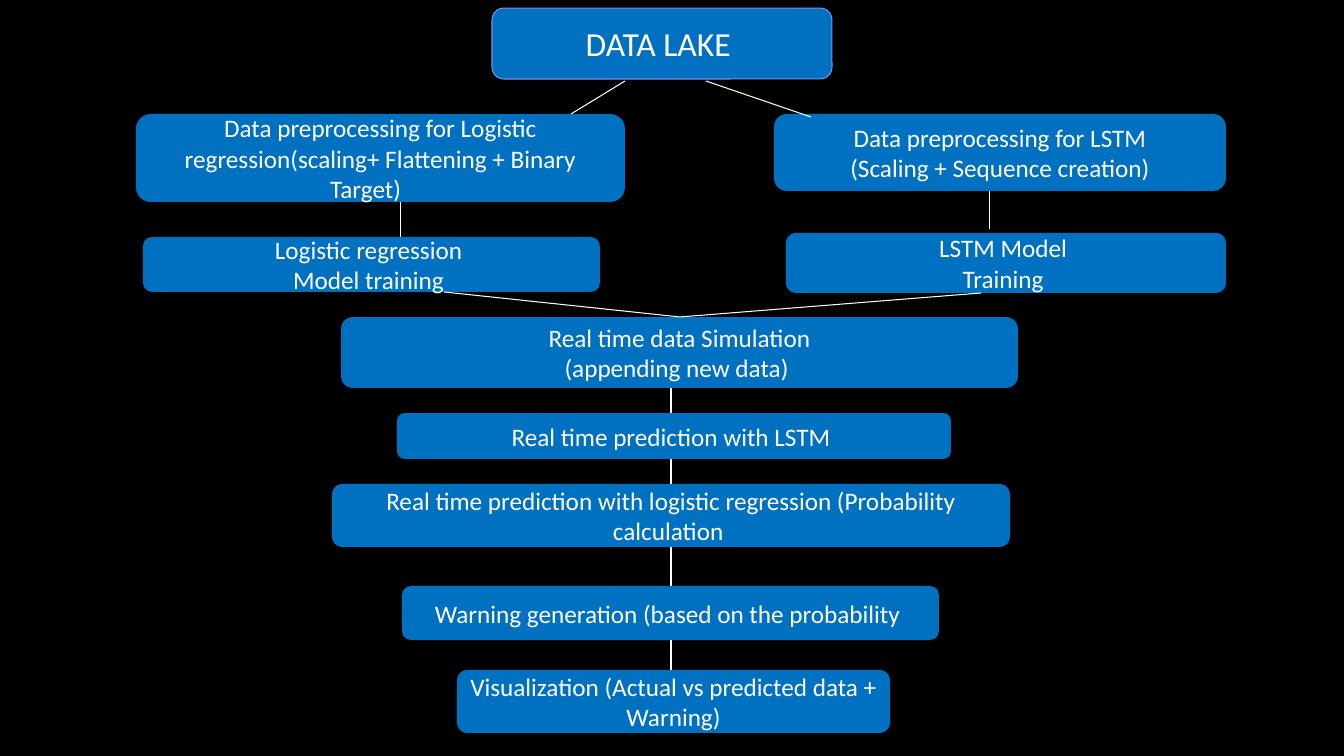
from itertools import pairwise

from lxml.etree import SubElement
from pptx import Presentation
from pptx.dml.color import RGBColor as RGB
from pptx.enum.shapes import MSO_CONNECTOR as CONN, MSO_SHAPE as SHAPE
from pptx.enum.text import MSO_ANCHOR as ANCHOR, PP_ALIGN as ALIGN
from pptx.oxml.ns import qn
from pptx.util import Pt

PX = 914400 / 100.8  # EMU per px
THEME = {
    "back": RGB(0x00, 0x00, 0x00),
    "node": RGB(0x00, 0x70, 0xC0),
    "border": RGB(0x79, 0x8F, 0xF2),
    "light": RGB(0xFF, 0xFF, 0xFF),
    "line": Pt(0.75),
    "title": {"name": "Calibri", "size": Pt(24)},
    "body": {"name": "Calibri", "size": Pt(18)},
}

# Boxes are left, top, width, height
SOURCE = (492, 8, 340, 71)
LOGISTIC = (136, 114, 489, 178)
LSTM = (774, 114, 452, 179)
PIPELINE = (332, 317, 686, 416)

# Offset from the region, size and wording of each step
STEPS = [
    (9, 0, 677, 71, ["Real time data Simulation", "(appending new data) "]),
    (65, 96, 554, 46, ["Real time prediction with LSTM "]),
    (0, 167, 678, 63,
     ["Real time prediction with logistic regression (Probability calculation "]),
    (70, 269, 537, 54, ["Warning generation (based on the probability "]),
    (125, 353, 433, 63, ["Visualization (Actual vs predicted data + Warning)"]),
]

# Lines between regions: x1, y1, x2, y2
JOINS = [
    (625, 81, 571, 114),
    (706, 81, 811, 117),
    (444, 292, 680, 317),
    (981, 293, 680, 317),
]


def emu(*lengths):
    return [round(v * PX) for v in lengths]


def add_node(s, box, lines, style="body"):
    sp = s.shapes.add_shape(SHAPE.ROUNDED_RECTANGLE, *emu(*box))
    sp.shadow.inherit = False
    sp.fill.solid()
    sp.fill.fore_color.rgb = THEME["node"]
    sp.line.fill.background()
    tf = sp.text_frame
    tf.word_wrap = True
    tf.vertical_anchor = ANCHOR.MIDDLE
    for i, text in enumerate(lines):
        p = tf.add_paragraph() if i else tf.paragraphs[0]
        p.alignment = ALIGN.CENTER
        r = p.add_run()
        r.text = text
        for key, value in THEME[style].items():
            setattr(r.font, key, value)
        r.font.color.rgb = THEME["light"]
    return sp


def add_link(s, *ends):
    cx = s.shapes.add_connector(CONN.STRAIGHT, *emu(*ends))
    cx.line.color.rgb = THEME["light"]
    cx.line.width = THEME["line"]
    SubElement(cx._element.spPr, qn("a:effectLst"))


def add_source(s, box):
    sp = add_node(s, box, ["DATA LAKE "], "title")
    sp.line.color.rgb = THEME["border"]
    sp.line.width = THEME["line"]


def add_branch(s, box, prep, prep_h, model, model_box, link):
    """Preprocessing on top, model training at the bottom."""
    x, y, w, h = box
    inset, model_w, model_h = model_box
    link_x, link_h = link
    add_node(s, (x, y, w, prep_h), prep)
    add_node(s, (x + inset, y + h - model_h, model_w, model_h), model)
    add_link(s, x + link_x, y + prep_h, x + link_x, y + prep_h + link_h)


def add_pipeline(s, box, steps):
    x, y, w, _ = box
    for dx, dy, step_w, step_h, lines in steps:
        add_node(s, (x + dx, y + dy, step_w, step_h), lines)
    # Each step is linked to the next
    mid = x + w // 2 - 4
    for (_, top, _, step_h, _), (_, next_top, *_) in pairwise(steps):
        add_link(s, mid, y + top + step_h, mid, y + next_top)


def main():
    prs = Presentation()
    prs.slide_width, prs.slide_height = emu(1344, 756)
    s = prs.slides.add_slide(prs.slide_layouts[6])
    s.background.fill.solid()
    s.background.fill.fore_color.rgb = THEME["back"]

    # Data source
    add_source(s, SOURCE)

    # Model branches
    add_branch(
        s, LOGISTIC,
        ["Data preprocessing for Logistic regression"
         "(scaling+ Flattening + Binary Target)\t"], 88,
        ["Logistic regression ", "Model training "], (7, 457, 55), (265, 35))
    add_branch(
        s, LSTM,
        ["Data preprocessing for LSTM", "(Scaling + Sequence creation)"], 77,
        ["LSTM Model ", "Training "], (12, 440, 60), (216, 38))

    # Real time steps
    add_pipeline(s, PIPELINE, STEPS)

    # Lines between regions
    for ends in JOINS:
        add_link(s, *ends)

    prs.save("out.pptx")


if __name__ == "__main__":
    main()
